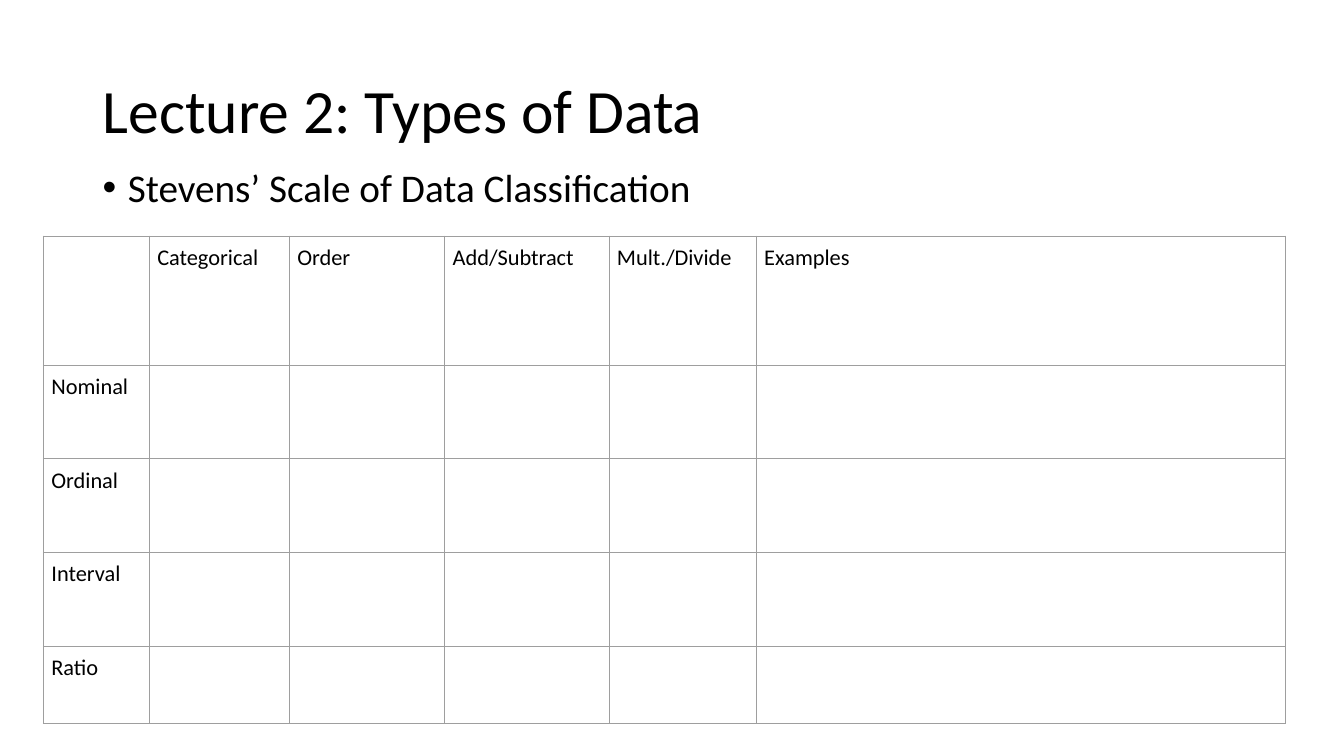
from dataclasses import dataclass

from lxml import etree
from pptx import Presentation
from pptx.dml.color import RGBColor
from pptx.enum.text import MSO_ANCHOR
from pptx.oxml.ns import qn
from pptx.util import Inches, Pt

TOP = MSO_ANCHOR.TOP
MIDDLE = MSO_ANCHOR.MIDDLE

FONT = "Calibri"
BLACK = "000000"
GRID_GREY = "9E9E9E"
GRID_WIDTH = Pt(0.6)
CELL_INSET = Inches(0.08)

PROPERTIES = ["Categorical", "Order", "Add/Subtract", "Mult./Divide", "Examples\u00a0".strip()]
SCALES = ["Nominal", "Ordinal", "Interval", "Ratio"]
COLUMN_WIDTHS = [1.05, 1.39, 1.54, 1.63, 1.46, 5.25]
ROW_HEIGHTS = [1.28, 0.93, 0.93, 0.93, 0.77]


@dataclass
class Heading:
    text: str
    top: float
    height: float
    size: int
    anchor: MSO_ANCHOR
    space_before: int = 0
    bullet: str = ""


HEADINGS = [
    Heading("Lecture 2: Types of Data", 0.4, 1.45, 44, MIDDLE),
    Heading("Stevens’ Scale of Data Classification", 1.62, 0.65, 28, TOP,
            space_before=10, bullet="•"),
]


def rgb(value: str) -> RGBColor:
    return RGBColor.from_string(value)


def style_font(paragraph, size: int) -> None:
    for run in paragraph.runs:
        run.font.name = FONT
        run.font.size = Pt(size)
        run.font.color.rgb = rgb(BLACK)


def add_bullet(paragraph, character: str) -> None:
    properties = paragraph._p.get_or_add_pPr()
    properties.set("marL", str(Inches(0.25)))
    properties.set("indent", str(-Inches(0.25)))
    etree.SubElement(properties, qn("a:buFont"), typeface="Arial")
    etree.SubElement(properties, qn("a:buChar"), char=character)


def add_heading(slide, heading: Heading) -> None:
    box = slide.shapes.add_textbox(
        Inches(0.92), Inches(heading.top), Inches(11.5), Inches(heading.height))
    frame = box.text_frame
    frame.word_wrap = True
    frame.vertical_anchor = heading.anchor
    frame.text = heading.text
    paragraph = frame.paragraphs[0]
    paragraph.line_spacing = 0.9
    paragraph.space_before = Pt(heading.space_before)
    style_font(paragraph, heading.size)
    if heading.bullet:
        add_bullet(paragraph, heading.bullet)


def outline_cell(cell) -> None:
    """Draw a thin line on all four sides; borders must precede the fill."""
    properties = cell._tc.get_or_add_tcPr()
    for position, side in enumerate(("a:lnL", "a:lnR", "a:lnT", "a:lnB")):
        line = etree.Element(qn(side), w=str(GRID_WIDTH))
        fill = etree.SubElement(line, qn("a:solidFill"))
        etree.SubElement(fill, qn("a:srgbClr"), val=GRID_GREY)
        properties.insert(position, line)


def fill_cell(cell, text: str) -> None:
    cell.fill.background()
    cell.margin_left = cell.margin_right = CELL_INSET
    cell.margin_top = cell.margin_bottom = CELL_INSET
    cell.vertical_anchor = TOP
    if text:
        cell.text_frame.text = text
        style_font(cell.text_frame.paragraphs[0], 16)
    outline_cell(cell)


def add_scale_table(slide) -> None:
    rows = [["", *PROPERTIES]] + [[scale] + [""] * len(PROPERTIES) for scale in SCALES]
    table = slide.shapes.add_table(
        len(rows), len(COLUMN_WIDTHS), Inches(0.43), Inches(2.34),
        Inches(sum(COLUMN_WIDTHS)), Inches(sum(ROW_HEIGHTS))).table
    table.first_row = False
    table.horz_banding = False
    for column, width in zip(table.columns, COLUMN_WIDTHS):
        column.width = Inches(width)
    for row, height, texts in zip(table.rows, ROW_HEIGHTS, rows):
        row.height = Inches(height)
        for cell, text in zip(row.cells, texts):
            fill_cell(cell, text)


def main() -> None:
    presentation = Presentation()
    presentation.slide_width = Inches(13.33)
    presentation.slide_height = Inches(7.5)
    slide = presentation.slides.add_slide(presentation.slide_layouts[6])
    for heading in HEADINGS:
        add_heading(slide, heading)
    add_scale_table(slide)
    presentation.save("out.pptx")


if __name__ == "__main__":
    main()
